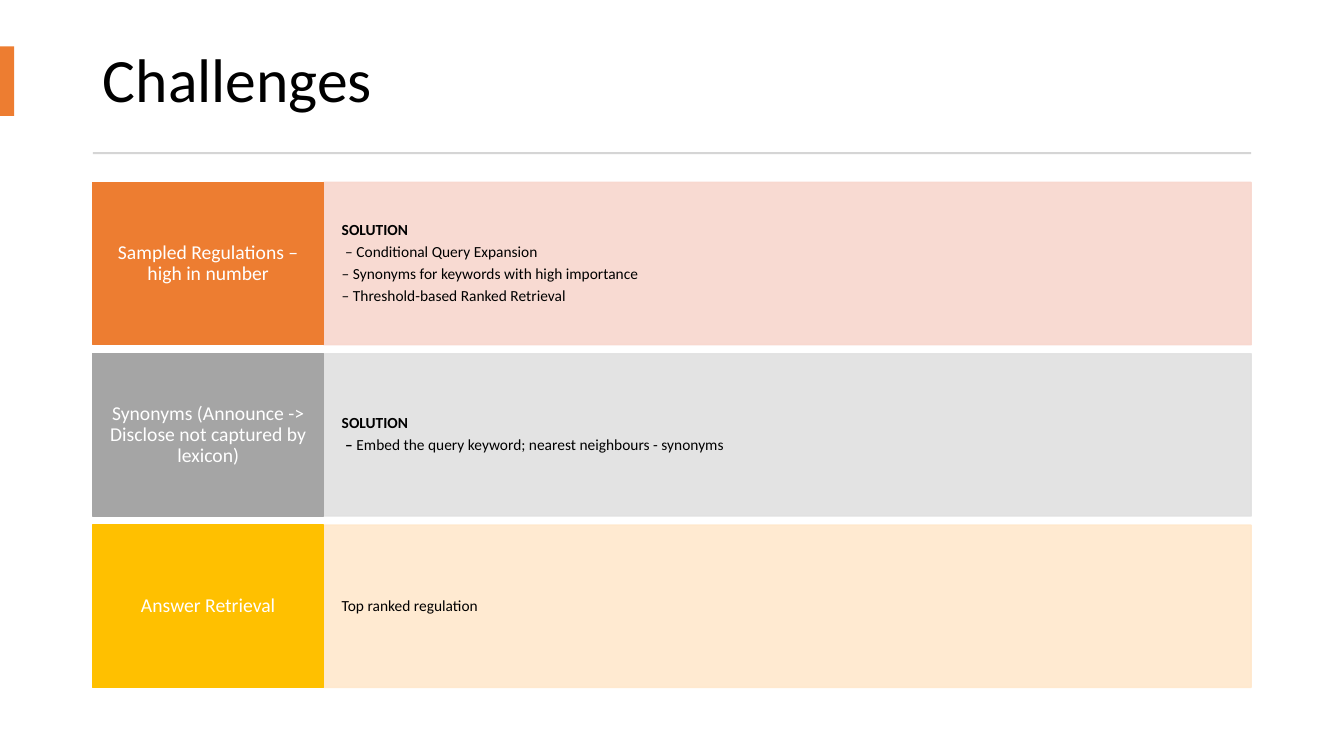
from lxml import etree
from pptx import Presentation
from pptx import util as u
from pptx.dml.color import RGBColor
from pptx.enum import shapes, text
from pptx.oxml.ns import qn

PX = 9144
FONT = "Calibri"
COLORS = {
    "black": "000000", "white": "FFFFFF", "rule": "D5D5D5",
    "orange": "ED7D31", "pale_orange": "F8D7CE",
    "gray": "A5A5A5", "pale_gray": "E1E1E1",
    "gold": "FFC000", "pale_gold": "FFE8CC",
}
CHALLENGES = [
    ("Sampled Regulations – high in number", "orange", [
        ("SOLUTION", ""),
        (" ", "– Conditional Query Expansion"),
        ("", "– Synonyms for keywords with high importance"),
        ("", "– Threshold-based Ranked Retrieval")]),
    ("Synonyms (Announce -> Disclose not captured by lexicon)", "gray", [
        ("SOLUTION", ""),
        (" – ", "Embed the query keyword; nearest neighbours - synonyms")]),
    ("Answer Retrieval", "gold", [("", "Top ranked regulation")]),
]


def px(length):
    """Turn whole pixels into EMU."""
    return u.Emu(length * PX)


def rgb(name):
    """Look up a named colour."""
    return RGBColor.from_string(COLORS[name])


def add_block(slide, box, color, opacity=100, outlined=False):
    """Add a flat rectangle, optionally translucent and outlined."""
    shape = slide.shapes.add_shape(shapes.MSO_SHAPE.RECTANGLE, *map(px, box))
    shape.shadow.inherit = False
    shape.fill.solid()
    shape.fill.fore_color.rgb = rgb(color)
    if outlined:
        shape.line.color.rgb = rgb(color)
        shape.line.width = u.Pt(1)
    else:
        shape.line.fill.background()
    if opacity < 100:
        for fill_color in shape._element.spPr.iter(qn("a:srgbClr")):
            etree.SubElement(fill_color, qn("a:alpha"), val=str(opacity * 1000))
    return shape


def write_lines(shape, lines, size, color, alignment, insets):
    """Write lines of (bold, regular) text into a shape."""
    frame = shape.text_frame
    frame.word_wrap = True
    frame.vertical_anchor = text.MSO_ANCHOR.MIDDLE
    frame.margin_left = frame.margin_right = px(insets[0])
    frame.margin_top = frame.margin_bottom = px(insets[1])
    for index, parts in enumerate(lines):
        paragraph = frame.add_paragraph() if index else frame.paragraphs[0]
        paragraph.alignment = alignment
        paragraph.line_spacing = 0.9
        paragraph.space_after = u.Pt(size * 0.35)
        paragraph.font.name = FONT
        paragraph.font.size = u.Pt(size)
        paragraph.font.color.rgb = rgb(color)
        for content, bold in zip(parts, (True, False)):
            if content:
                run = paragraph.add_run()
                run.text = content
                run.font.bold = bold


def add_header(slide, box):
    """Place the title, its edge accent and the rule below it."""
    left, top, width, height = box
    title = slide.shapes.title
    title.left, title.top, title.width, title.height = map(px, box)
    frame = title.text_frame
    frame.text = "Challenges"
    frame.word_wrap = True
    frame.auto_size = text.MSO_AUTO_SIZE.NONE
    frame.vertical_anchor = text.MSO_ANCHOR.MIDDLE
    paragraph = frame.paragraphs[0]
    paragraph.alignment = text.PP_ALIGN.LEFT
    paragraph.line_spacing = 0.9
    paragraph.font.name = FONT
    paragraph.font.size = u.Pt(44)
    paragraph.font.color.rgb = rgb("black")
    add_block(slide, (0, top + 19, 14, 69), "orange")
    add_block(slide, (left, top + height + 14, width, 2), "rule")


def add_challenge(slide, box, challenge):
    """Place a challenge label beside its solution panel."""
    left, top, width, height = box
    label, color, solution = challenge
    label_width = width // 5
    panel_box = (left + label_width, top, width - label_width, height)
    panel = add_block(slide, panel_box, "pale_" + color, 90, True)
    write_lines(panel, solution, 11, "black", text.PP_ALIGN.LEFT, (18, 41))
    tag = add_block(slide, (left, top, label_width, height), color, outlined=True)
    write_lines(tag, [("", label)], 14, "white", text.PP_ALIGN.CENTER, (12, 16))


def add_challenges(slide, box):
    """Stack the challenges in equal rows."""
    left, top, width, height = box
    gap = 9
    row_height = (height - gap * (len(CHALLENGES) - 1)) // len(CHALLENGES)
    for index, challenge in enumerate(CHALLENGES):
        row_top = top + index * (row_height + gap)
        add_challenge(slide, (left, row_top, width, row_height), challenge)


def main():
    """Build and save the slide."""
    presentation = Presentation()
    presentation.slide_width, presentation.slide_height = px(1333), px(750)
    slide = presentation.slides.add_slide(presentation.slide_layouts[5])
    add_header(slide, (92, 27, 1149, 110))
    add_challenges(slide, (92, 181, 1149, 501))
    presentation.save("out.pptx")


if __name__ == "__main__":
    main()
